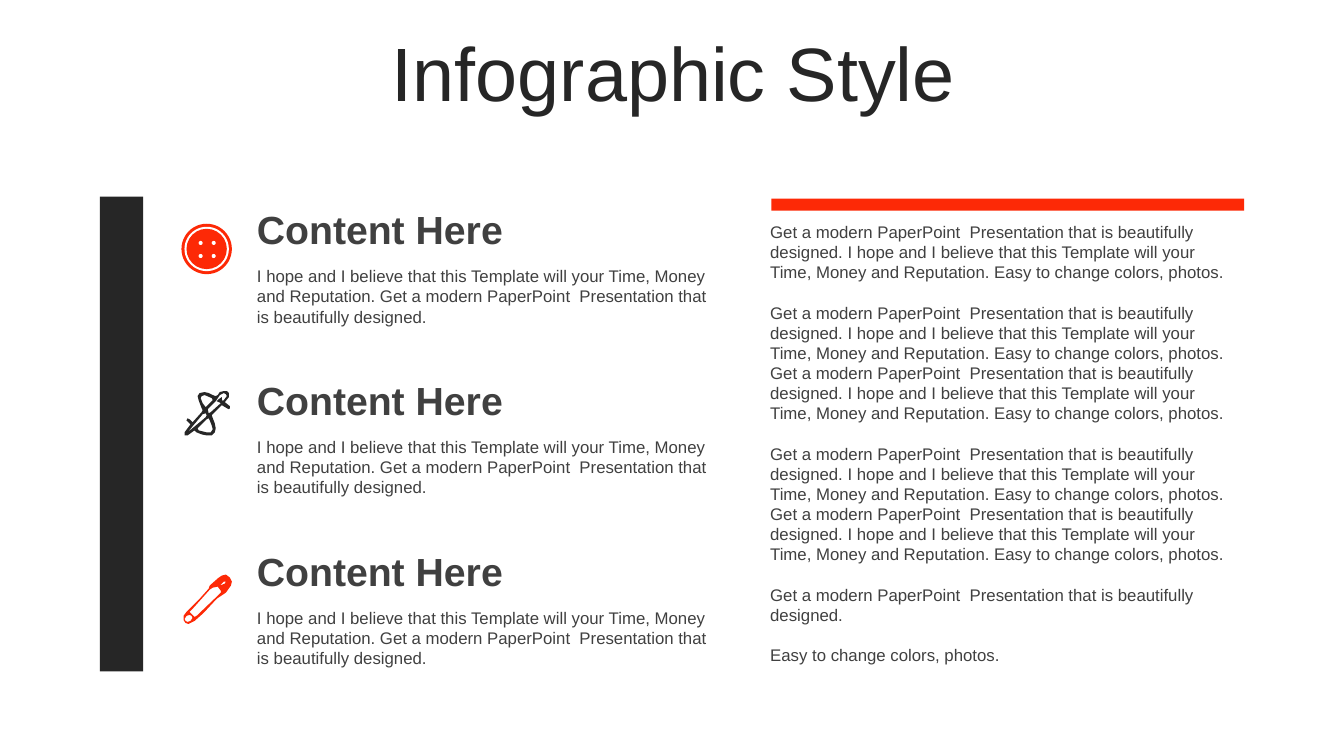
from dataclasses import dataclass

import pptx
import pptx.dml.color
import pptx.enum.shapes
import pptx.enum.text
import pptx.util

PX = 9144  # EMU in one px, at 100 px to the inch
RED = pptx.dml.color.RGBColor(0xFD, 0x29, 0x06)
DARK = pptx.dml.color.RGBColor(0x26, 0x26, 0x26)
GREY = pptx.dml.color.RGBColor(0x40, 0x40, 0x40)
WHITE = pptx.dml.color.RGBColor(0xFF, 0xFF, 0xFF)
RECT = pptx.enum.shapes.MSO_SHAPE.RECTANGLE
OVAL = pptx.enum.shapes.MSO_SHAPE.OVAL
TOP = pptx.enum.text.MSO_ANCHOR.TOP
MIDDLE = pptx.enum.text.MSO_ANCHOR.MIDDLE
FONT = "Arial"
LEAD = 14.4  # line pitch of the 12 pt text


@dataclass
class Box:
    left: int
    top: int
    width: int
    height: int

    def emu(self) -> list[int]:
        return [n * PX for n in (self.left, self.top, self.width, self.height)]


@dataclass
class Style:
    size: int
    color: pptx.dml.color.RGBColor
    bold: bool = False
    lead: float | None = None
    gap: float = 0


@dataclass
class Icon:
    color: pptx.dml.color.RGBColor
    loops: list[list[tuple[int, int]]]  # outline first, then its holes


HEAD = Style(28, GREY, bold=True)
BODY = Style(12, GREY, lead=LEAD, gap=LEAD)

# Wording
PITCH = "Get a modern PaperPoint  Presentation that is beautifully designed."
HOPE = "I hope and I believe that this Template will your Time, Money and Reputation."
EASY = "Easy to change colors, photos."
FULL = f"{PITCH} {HOPE} {EASY}"
TWICE = f"{FULL} {FULL}"

# Icon outlines
NEEDLE = Icon(DARK, [
    [(228, 403), (223, 399), (227, 394), (227, 390), (225, 388), (222, 388),
     (218, 389), (216, 392), (214, 393), (211, 392), (207, 390), (203, 389),
     (198, 390), (196, 393), (197, 397), (200, 405), (201, 407), (200, 409),
     (191, 419), (188, 416), (186, 415), (185, 417), (189, 421), (183, 429),
     (183, 432), (186, 432), (193, 427), (195, 429), (200, 431), (205, 432),
     (210, 432), (213, 429), (214, 425), (213, 420), (210, 412), (220, 402),
     (225, 405), (227, 406), (228, 405)],
    [(199, 395), (200, 393), (203, 392), (210, 395), (211, 397), (205, 403),
     (204, 404), (201, 400)],
    [(186, 429), (201, 411), (204, 410), (205, 412), (204, 414)],
    [(210, 422), (211, 426), (209, 429), (205, 429), (197, 427), (196, 425),
     (205, 416), (207, 415), (208, 417)],
    [(221, 398), (220, 396), (220, 394), (217, 396), (215, 398), (219, 400),
     (209, 409), (207, 410), (206, 406), (214, 398), (218, 392), (222, 390),
     (224, 391), (225, 393), (222, 397)],
])
PIN = Icon(RED, [
    [(229, 581), (230, 577), (228, 573), (224, 570), (220, 571), (217, 573),
     (209, 580), (208, 581), (207, 584), (198, 594), (185, 607), (182, 611),
     (182, 615), (184, 618), (187, 619), (193, 616), (202, 608), (215, 594),
     (218, 592), (224, 588)],
    [(222, 577), (224, 577), (223, 579), (218, 581)],
    [(184, 616), (183, 614), (185, 611), (188, 610), (190, 611), (191, 613),
     (189, 616), (186, 617)],
    [(218, 589), (195, 611), (193, 612), (192, 611), (188, 607), (191, 604),
     (208, 585), (211, 583), (216, 582), (219, 586), (219, 588)],
])


def draw_shape(slide, kind, box: Box, color) -> None:
    shape = slide.shapes.add_shape(kind, *box.emu())
    paint(shape, color)


def paint(shape, color) -> None:
    shape.shadow.inherit = False
    shape.fill.solid()
    shape.fill.fore_color.rgb = color
    shape.line.fill.background()


def draw_disc(slide, x: int, y: int, radius: int, color) -> None:
    box = Box(x - radius, y - radius, 2 * radius, 2 * radius)
    draw_shape(slide, OVAL, box, color)


def draw_button(slide, x: int, y: int) -> None:
    for radius, color in ((25, RED), (22, WHITE), (20, RED)):
        draw_disc(slide, x, y, radius, color)
    for dx in (-6, 7):
        for dy in (-6, 7):
            draw_disc(slide, x + dx, y + dy, 2, WHITE)


def draw_icon(slide, icon: Icon) -> None:
    pen = slide.shapes.build_freeform(*icon.loops[0][0], scale=PX)
    for loop in icon.loops:
        pen.move_to(*loop[0])
        pen.add_line_segments(loop[1:], close=True)
    paint(pen.convert_to_shape(), icon.color)


def style_text(par, style: Style) -> None:
    for run in par.runs:
        run.font.name = FONT
        run.font.size = pptx.util.Pt(style.size)
        run.font.bold = style.bold
        run.font.color.rgb = style.color


def draw_text(slide, box: Box, texts: list[str], style: Style, anchor=TOP) -> None:
    frame = slide.shapes.add_textbox(*box.emu()).text_frame
    frame.word_wrap = True
    frame.vertical_anchor = anchor
    frame.text = "\n".join(texts)
    for index, par in enumerate(frame.paragraphs):
        if style.lead:
            par.line_spacing = pptx.util.Pt(style.lead)
        if index:
            par.space_before = pptx.util.Pt(style.gap)
        style_text(par, style)


def set_title(slide, box: Box, text: str) -> None:
    title = slide.shapes.title
    title.left, title.top, title.width, title.height = box.emu()
    frame = title.text_frame
    frame.text = text
    frame.word_wrap = True
    frame.auto_size = pptx.enum.text.MSO_AUTO_SIZE.NONE
    frame.vertical_anchor = MIDDLE
    par = frame.paragraphs[0]
    par.alignment = pptx.enum.text.PP_ALIGN.CENTER
    par.line_spacing = 0.9
    style_text(par, Style(54, DARK))


def main() -> None:
    deck = pptx.Presentation()
    deck.slide_width, deck.slide_height = 1333 * PX, 750 * PX
    slide = deck.slides.add_slide(deck.slide_layouts[5])
    set_title(slide, Box(35, 37, 1266, 79), "Infographic Style")

    # Left column: dark bar and three items
    draw_shape(slide, RECT, Box(99, 195, 43, 471), DARK)
    for row in range(3):
        top = 199 + row * 339 // 2
        draw_text(slide, Box(245, top, 469, 57), ["Content Here"], HEAD, MIDDLE)
        draw_text(slide, Box(245, top + 60, 469, 71), [f"{HOPE} {PITCH}"], BODY)
    draw_button(slide, 205, 247)
    draw_icon(slide, NEEDLE)
    draw_icon(slide, PIN)

    # Right column: red strip and long text
    draw_shape(slide, RECT, Box(765, 197, 469, 12), RED)
    draw_text(slide, Box(754, 215, 482, 454), [FULL, TWICE, TWICE, PITCH, EASY], BODY)

    deck.save("out.pptx")


if __name__ == "__main__":
    main()
